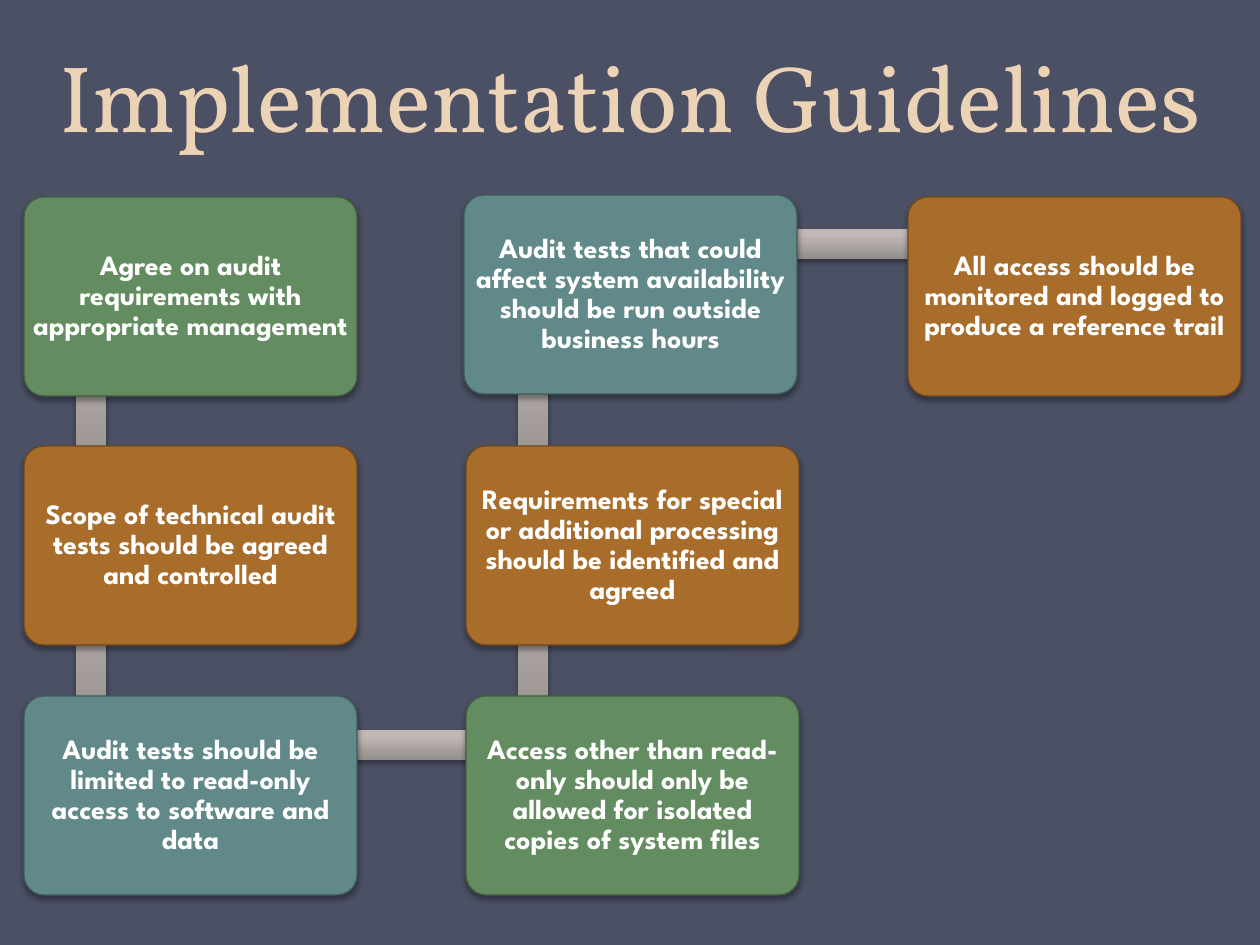
from itertools import pairwise

from lxml.etree import SubElement
from pptx import Presentation
from pptx.dml.color import RGBColor
from pptx.enum.shapes import MSO_SHAPE as Shape
from pptx.enum.text import MSO_ANCHOR as Anchor, PP_ALIGN as Align
from pptx.oxml.ns import qn
from pptx.util import Emu, Pt

PX = 914400 / 126
SLIDE_W, SLIDE_H = 1260, 945
TITLE_H = 158

BACKGROUND = RGBColor(0x4B, 0x50, 0x64)
CREAM = RGBColor(0xED, 0xD3, 0xB6)
WHITE = RGBColor(0xFF, 0xFF, 0xFF)
BAR_DARK = RGBColor(0x94, 0x8E, 0x8B)
BAR_LIGHT = RGBColor(0xC0, 0xB8, 0xB4)
# Fill and outline of each kind of card
GREEN = RGBColor(0x64, 0x8C, 0x61), RGBColor(0x43, 0x5E, 0x40)
BROWN = RGBColor(0xA9, 0x6D, 0x2B), RGBColor(0x71, 0x48, 0x1C)
TEAL = RGBColor(0x61, 0x89, 0x8A), RGBColor(0x41, 0x5B, 0x5C)

CARD_W, CARD_H = 333, 199
COLUMNS = [0, 442, 884]
ROWS = [0, 249, 499]
BAR = 30
# Point inside each card where the bars meet
JOINT_X, JOINT_Y = 67, 49

# Column, row, nudge, colours and text, in reading order of the path
STEPS = [
    (0, 0, (0, 0), GREEN, "Agree on audit requirements with appropriate management"),
    (0, 1, (0, 0), BROWN, "Scope of technical audit tests should be agreed and controlled"),
    (0, 2, (0, 0), TEAL,
     "Audit tests should be limited to read-only access to software and data"),
    (1, 2, (0, 0), GREEN,
     "Access other than read-only should only be allowed for isolated copies of system files"),
    (1, 1, (0, 0), BROWN,
     "Requirements for special or additional processing should be identified and agreed"),
    (1, 0, (-2, -2), TEAL,
     "Audit tests that could affect system availability should be run outside business hours"),
    (2, 0, (0, 0), BROWN,
     "All access should be monitored and logged to produce a reference trail"),
]


def px(value):
    return Emu(round(value * PX))


def add_shadow(shape):
    shape.shadow.inherit = False
    effects = shape._element.spPr.find(qn("a:effectLst"))
    shadow = SubElement(effects, qn("a:outerShdw"), blurRad="39400", dist="22900",
                        dir="5400000", rotWithShape="0")
    color = SubElement(shadow, qn("a:srgbClr"), val="000000")
    SubElement(color, qn("a:alpha"), val="35000")


def add_run(paragraph, text, font, size, color, bold=False):
    run = paragraph.add_run()
    run.text = text
    run.font.name = font
    run.font.size = Pt(size)
    run.font.bold = bold
    run.font.color.rgb = color


def add_title(slide, left, top, width, height):
    title = slide.shapes.title
    title.left, title.top, title.width, title.height = map(px, (left, top, width, height))
    title.text_frame.vertical_anchor = Anchor.BOTTOM
    paragraph = title.text_frame.paragraphs[0]
    paragraph.alignment = Align.CENTER
    paragraph.line_spacing = Pt(58)
    add_run(paragraph, "Implementation Guidelines", "Vollkorn", 54, CREAM)


def add_bar(slide, start, end):
    """Bar between the joints of two cards, each given by its top left corner."""
    (x1, y1), (x2, y2) = start, end
    if abs(x2 - x1) > abs(y2 - y1):
        box = x1 + JOINT_X, y1 + JOINT_Y - BAR / 2, x2 - x1, BAR
    else:
        box = x1 + JOINT_X - BAR / 2, min(y1, y2) + JOINT_Y, BAR, abs(y2 - y1)
    bar = slide.shapes.add_shape(Shape.RECTANGLE, *map(px, box))
    bar.line.fill.background()
    bar.fill.gradient()
    bar.fill.gradient_angle = 90
    for stop, position, color in zip(bar.fill.gradient_stops, (0, 0.8), (BAR_DARK, BAR_LIGHT)):
        stop.position = position
        stop.color.rgb = color
    add_shadow(bar)


def add_card(slide, left, top, colors, text):
    card = slide.shapes.add_shape(Shape.ROUNDED_RECTANGLE, *map(px, (left, top, CARD_W, CARD_H)))
    card.adjustments[0] = 0.1
    card.fill.solid()
    card.fill.fore_color.rgb, card.line.color.rgb = colors
    card.line.width = Pt(0.75)
    add_shadow(card)
    frame = card.text_frame
    frame.word_wrap = True
    frame.vertical_anchor = Anchor.MIDDLE
    frame.margin_left = frame.margin_right = frame.margin_top = frame.margin_bottom = px(2)
    paragraph = frame.paragraphs[0]
    paragraph.alignment = Align.CENTER
    paragraph.line_spacing = 0.9
    add_run(paragraph, text, "League Spartan", 16, WHITE, bold=True)


def add_path(slide, left, top):
    corners = [(left + COLUMNS[column] + dx, top + ROWS[row] + dy)
               for column, row, (dx, dy), _, _ in STEPS]
    # Bars lie behind the cards
    for start, end in pairwise(corners):
        add_bar(slide, start, end)
    for corner, (_, _, _, colors, text) in zip(corners, STEPS):
        add_card(slide, *corner, colors, text)


def main():
    presentation = Presentation()
    presentation.slide_width, presentation.slide_height = px(SLIDE_W), px(SLIDE_H)
    slide = presentation.slides.add_slide(presentation.slide_layouts[5])
    slide.background.fill.solid()
    slide.background.fill.fore_color.rgb = BACKGROUND
    add_title(slide, 0, 0, SLIDE_W, TITLE_H)
    add_path(slide, 24, 197)
    presentation.save("out.pptx")


if __name__ == "__main__":
    main()
